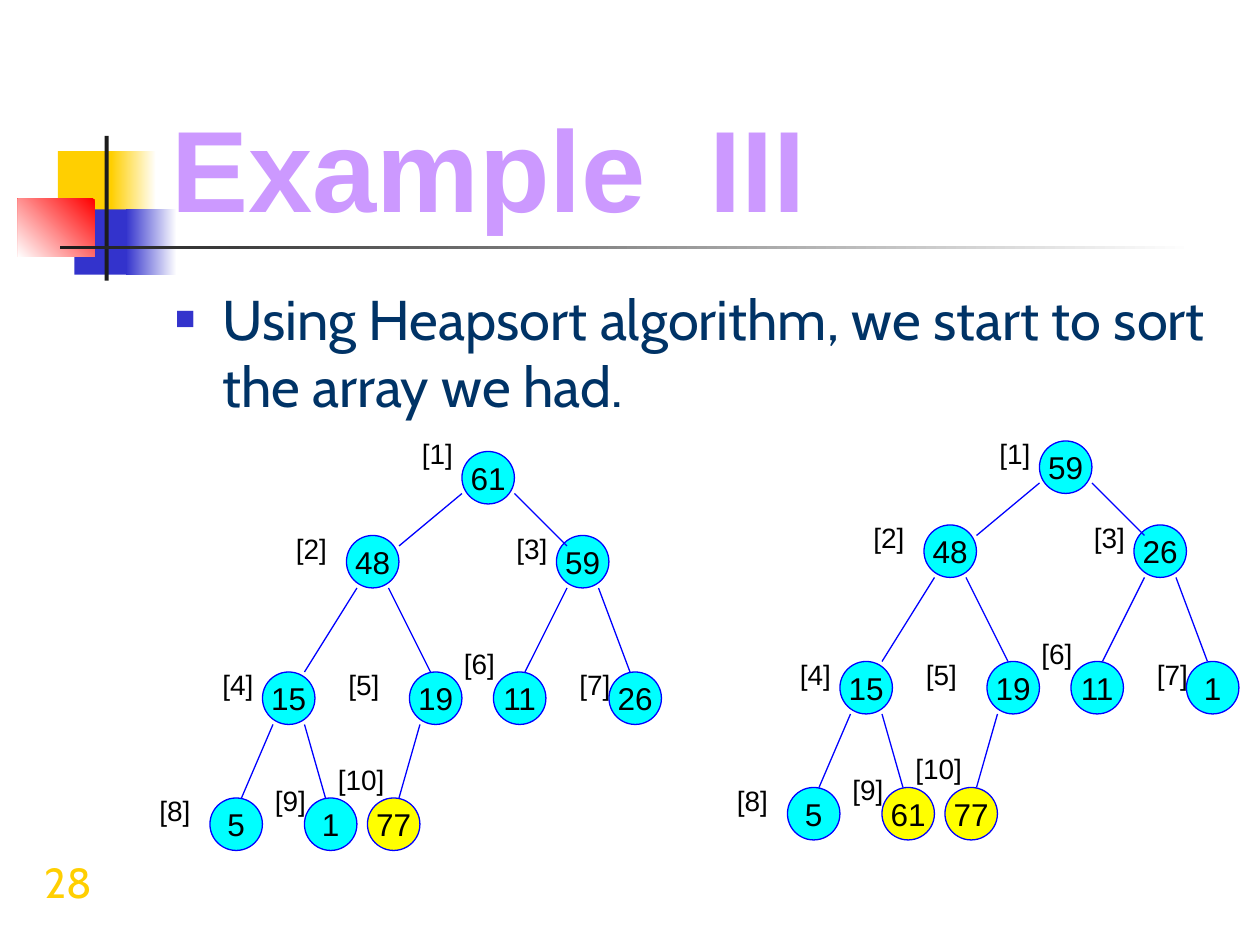
from lxml.etree import SubElement
from pptx import Presentation
from pptx.dml.color import RGBColor
from pptx.enum.shapes import MSO_CONNECTOR as CONN, MSO_SHAPE as SHAPE
from pptx.enum.text import MSO_ANCHOR as ANCHOR, MSO_AUTO_SIZE as AUTO, PP_ALIGN as ALIGN
from pptx.oxml.ns import qn
from pptx.util import Cm, Pt

CYAN, YELLOW, BLUE, BLACK = "00FFFF", "FFFF00", "0000FF", "000000"
GOLD, INDIGO, RED, WHITE, DARK = "FFCF01", "3333CC", "FF0000", "FFFFFF", "1C1C1C"

# Tree geometry in grid units of 1/12 inch
NODE_SIZE = 5
NODES = [(44, 43), (33, 51), (53, 51), (25, 64), (39, 64), (47, 64), (58, 64),
         (20, 76), (29, 76), (35, 76)]
EDGES = [(44, 47, 38, 52), (49, 47, 54, 52), (34, 56, 29, 64), (37, 56, 41, 64),
         (54, 56, 50, 64), (57, 56, 60, 64), (26, 69, 23, 76), (29, 69, 31, 76),
         (40, 69, 38, 76)]
ROOT_LABEL = (39, 41, 6)
LABELS = [(27, 50, 6), (48, 50, 7), (20, 63, 7), (32, 63, 7), (43, 61, 6),
          (54, 63, 6), (14, 75, 7), (25, 74, 7), (31, 72, 9)]


def rgb(color):
    return RGBColor.from_string(color)


def grid(n):
    return Cm(n * 2.54 / 12)


def add_run(p, text, size, color, font="Arial", bold=False):
    r = p.add_run()
    r.text = text
    r.font.size = Pt(size)
    r.font.name = font
    r.font.bold = bold
    r.font.color.rgb = rgb(color)


def add_text(s, box, text, size, color, font="Arial", auto=AUTO.SHAPE_TO_FIT_TEXT):
    tf = s.shapes.add_textbox(*box).text_frame
    tf.word_wrap = True
    tf.auto_size = auto
    p = tf.paragraphs[0]
    add_run(p, text, size, color, font)
    return p


def add_bar(s, box, color, end=None, angle=180):
    """Borderless rectangle, plain or fading from color to end."""
    sp = s.shapes.add_shape(SHAPE.RECTANGLE, *[Cm(v) for v in box])
    sp.shadow.inherit = False
    sp.line.fill.background()
    if end is None:
        sp.fill.solid()
        sp.fill.fore_color.rgb = rgb(color)
        return
    sp.fill.gradient()
    sp.fill.gradient_angle = angle
    for stop, shade in zip(sp.fill.gradient_stops, (color, end)):
        stop.color.rgb = rgb(shade)


def add_node(s, x, y, value, fill):
    sp = s.shapes.add_shape(SHAPE.OVAL, grid(x), grid(y), grid(NODE_SIZE), grid(NODE_SIZE))
    sp.shadow.inherit = False
    sp.fill.solid()
    sp.fill.fore_color.rgb = rgb(fill)
    sp.line.color.rgb = rgb(BLUE)
    sp.line.width = Pt(0.75)
    tf = sp.text_frame
    tf.word_wrap = False
    tf.vertical_anchor = ANCHOR.MIDDLE
    p = tf.paragraphs[0]
    p.alignment = ALIGN.CENTER
    add_run(p, str(value), 18, BLACK)


def add_edge(s, x1, y1, x2, y2):
    line = s.shapes.add_connector(CONN.STRAIGHT, grid(x1), grid(y1), grid(x2), grid(y2))
    line.line.color.rgb = rgb(BLUE)
    line.line.width = Pt(0.75)
    SubElement(line.element.spPr, qn("a:effectLst"))


def add_heap(s, values, sorted_count, dx=0, dy=0):
    """Heap tree whose last sorted_count nodes are already in place."""
    first_sorted = len(values) - sorted_count
    for i, ((x, y), value) in enumerate(zip(NODES, values)):
        add_node(s, x + dx, y + dy, value, YELLOW if i >= first_sorted else CYAN)
    for x1, y1, x2, y2 in EDGES:
        add_edge(s, x1 + dx, y1 + dy, x2 + dx, y2 + dy)
    # The root label keeps its height in both trees
    labels = [ROOT_LABEL] + [(x, y + dy, w) for x, y, w in LABELS]
    for i, (x, y, w) in enumerate(labels, 1):
        add_text(s, (grid(x + dx), grid(y), grid(w), Cm(0.94)), f"[{i}]", 16, BLACK)


def add_decoration(s):
    add_bar(s, (1.17, 3.05, 1.22, 1.32), GOLD)
    add_bar(s, (2.24, 3.05, 0.91, 1.32), WHITE, GOLD)
    add_bar(s, (1.5, 4.22, 1.17, 1.32), INDIGO)
    add_bar(s, (2.54, 4.22, 1.02, 1.32), WHITE, INDIGO)
    add_bar(s, (0.36, 4.01, 1.55, 1.17), RED, WHITE, 225)
    add_bar(s, (2.11, 2.74, 0.08, 2.92), DARK)
    add_bar(s, (1.22, 4.95, 22.86, 0.08), WHITE, DARK)


def set_title(s, text):
    title = s.shapes.title
    title.left, title.top, title.width, title.height = Cm(3.2), Cm(1.7), Cm(21.64), Cm(3.18)
    tf = title.text_frame
    tf.auto_size = AUTO.NONE
    tf.vertical_anchor = ANCHOR.BOTTOM
    p = tf.paragraphs[0]
    p.alignment = ALIGN.LEFT
    add_run(p, text, 66, "CC99FF", bold=True)


def add_bullet_text(s, text):
    box = (Cm(3.28), Cm(5.61), Cm(21.59), Cm(3.07))
    p = add_text(s, box, text, 32, "003366", "Cabin", AUTO.NONE)
    pPr = p._p.get_or_add_pPr()
    pPr.set("marL", str(Cm(0.95)))
    pPr.set("indent", str(-Cm(0.95)))
    SubElement(SubElement(pPr, qn("a:buClr")), qn("a:srgbClr"), val=INDIGO)
    SubElement(pPr, qn("a:buSzPct"), val="60000")
    SubElement(pPr, qn("a:buFont"), typeface="Arial")
    SubElement(pPr, qn("a:buChar"), char="■")


def main():
    prs = Presentation()
    prs.slide_width, prs.slide_height = Cm(25.4), Cm(19.05)
    s = prs.slides.add_slide(prs.slide_layouts[5])

    # Heading and text
    add_decoration(s)
    set_title(s, "Example  III")
    add_bullet_text(s, "Using Heapsort algorithm, we start to sort the array we had.")

    # Heaps after successive removals of the largest value
    add_heap(s, [59, 48, 26, 15, 19, 11, 1, 5, 61, 77], 2, dx=55, dy=-1)
    add_heap(s, [61, 48, 59, 15, 19, 11, 26, 5, 1, 77], 1)

    # Slide number
    add_text(s, (Cm(0.64), Cm(17.15), Cm(1.48), Cm(1.27)), "28", 24, GOLD, "Cabin")
    prs.save("out.pptx")


if __name__ == "__main__":
    main()
